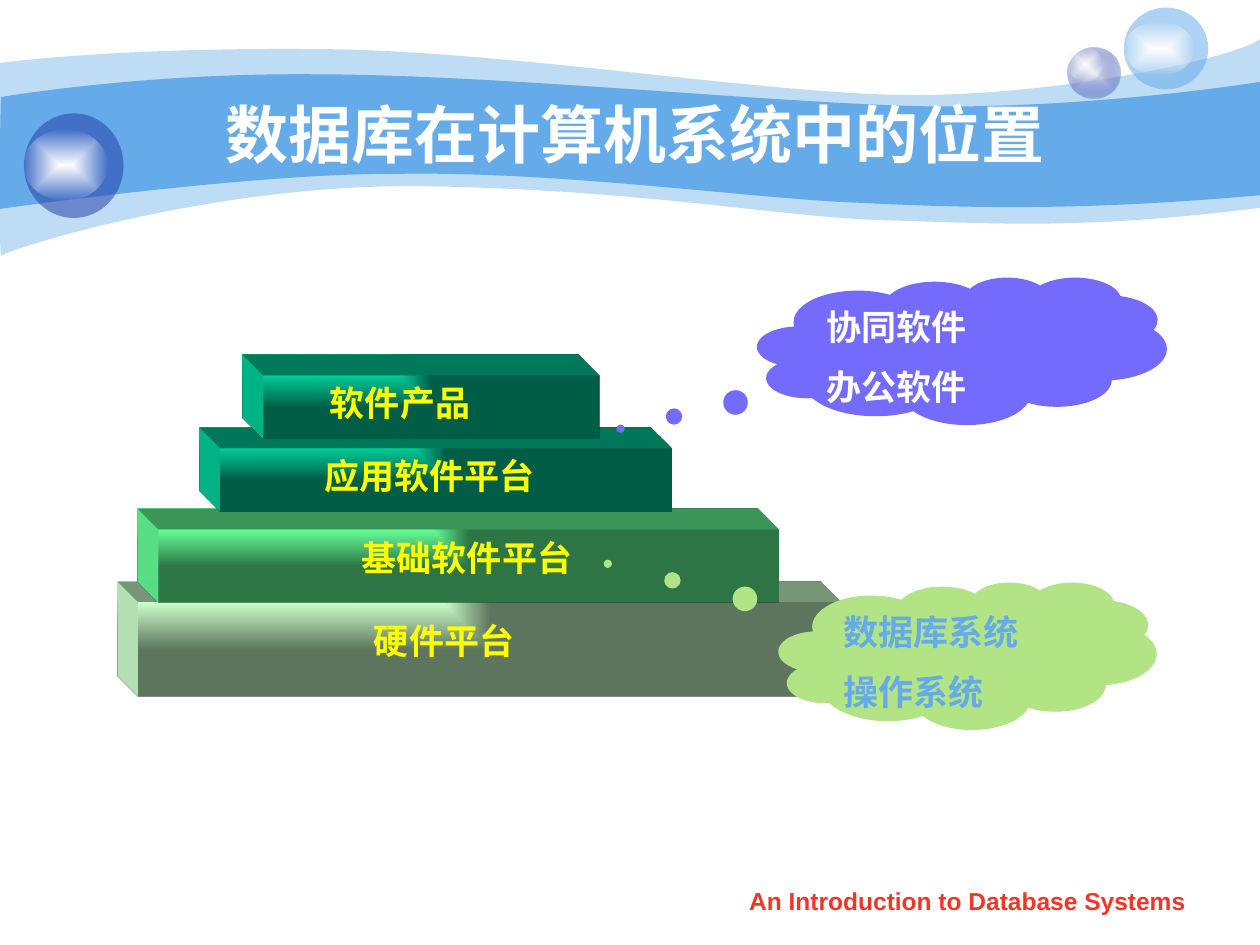
from typing import NamedTuple, Optional

from lxml import etree
from pptx import Presentation
from pptx.dml.color import RGBColor
from pptx.enum.shapes import MSO_SHAPE as Shape
from pptx.enum.text import MSO_ANCHOR as Anchor, PP_ALIGN as Align
from pptx.oxml import parse_xml
from pptx.oxml.ns import nsdecls, qn
from pptx.util import Inches, Pt

WHITE = RGBColor(0xFF, 0xFF, 0xFF)
SKY = RGBColor(0x65, 0xAA, 0xE9)
NAVY = RGBColor(0x23, 0x3D, 0xA9)
PALE = RGBColor(0xE1, 0xE2, 0xED)
RED = RGBColor(0xF0, 0x36, 0x28)
YELLOW = RGBColor(0xFF, 0xFF, 0x00)
VIOLET = RGBColor(0x74, 0x6A, 0xFC)
LIME = RGBColor(0xB2, 0xE3, 0x85)
MINT, MOSS = RGBColor(0xCC, 0xFF, 0xCC), RGBColor(0x5E, 0x76, 0x5E)
SPRING, FOREST = RGBColor(0x66, 0xFF, 0x99), RGBColor(0x2F, 0x76, 0x47)
JADE, PINE = RGBColor(0x00, 0xCC, 0x99), RGBColor(0x00, 0x5E, 0x47)
CJK = "Noto Sans CJK SC"


class Box(NamedTuple):
    left: float
    top: float
    width: float
    height: float


class Stop(NamedTuple):
    color: RGBColor
    alpha: int = 100


class Style(NamedTuple):
    size: int
    color: RGBColor
    font: str = CJK
    align: Align = Align.LEFT


class Sphere(NamedTuple):
    body: Box
    shine: Box
    color: RGBColor
    alpha: int
    core: Optional[Stop] = None


class Layer(NamedTuple):
    text: str
    bar: Box
    label: Box
    light: RGBColor
    dark: RGBColor


class Cloud(NamedTuple):
    lines: tuple
    box: Box
    tail: tuple
    fill: RGBColor
    color: RGBColor


class Band(NamedTuple):
    start: tuple
    upper: list
    corner: tuple
    lower: list
    alpha: int


# Each curve takes three points: control, control, end
BANDS = [
    Band((0, 0.5),
         [(0.24, 0.47), (1.07, 0.38), (2.47, 0.39),
          (3.86, 0.39), (5.75, 0.7), (6.99, 0.75),
          (8.22, 0.8), (9.8, 0.47), (10, 0.31)],
         (10, 1.65),
         [(8.58, 1.83), (7.87, 1.77), (7.05, 1.75),
          (6.22, 1.73), (5.15, 1.51), (3.43, 1.48),
          (1.72, 1.44), (0.04, 1.99), (0.01, 2.03),
          (-0.01, 2.08), (0, 0.75), (0, 0.5)], 41),
    Band((0.01, 0.77),
         [(0.02, 0.77), (1.1, 0.58), (2.48, 0.59),
          (3.86, 0.59), (5.95, 0.8), (7.18, 0.84),
          (8.41, 0.88), (9.76, 0.69), (10, 0.65)],
         (10, 1.55),
         [(8.53, 1.68), (7.65, 1.65), (6.82, 1.61),
          (5.99, 1.58), (4.47, 1.36), (3.17, 1.38),
          (2.03, 1.37), (-0.02, 1.66), (-0.01, 1.66),
          (0, 1.66), (0, 0.77), (0.01, 0.77)], 100),
]
SPHERES = [
    Sphere(Box(8.47, 0.38, 0.42, 0.4), Box(8.47, 0.38, 0.28, 0.27), NAVY, 31, Stop(PALE)),
    Sphere(Box(8.92, 0.06, 0.67, 0.65), Box(8.92, 0.17, 0.56, 0.43), SKY, 53),
    Sphere(Box(0.19, 0.9, 0.79, 0.83), Box(0.19, 1.03, 0.66, 0.56), NAVY, 53),
]
LAYERS = [
    Layer("硬件平台", Box(1.1, 4.78, 5.58, 0.75), Box(2.51, 4.87, 1.67, 0.43), MINT, MOSS),
    Layer("基础软件平台", Box(1.26, 4.2, 4.92, 0.58), Box(2.06, 4.21, 2.58, 0.43), SPRING, FOREST),
    Layer("应用软件平台", Box(1.75, 3.56, 3.58, 0.5), Box(1.59, 3.56, 2.75, 0.43), JADE, PINE),
    Layer("软件产品", Box(2.09, 2.98, 2.67, 0.5), Box(2.25, 2.98, 1.58, 0.43), JADE, PINE),
]
CLOUDS = [
    Cloud(("协同软件", "办公软件"), Box(6.01, 2.2, 3.25, 1.17), (-0.834, 0.528), VIOLET, WHITE),
    Cloud(("数据库系统", "操作系统"), Box(6.18, 4.62, 3, 1.17), (-0.952, -0.624), LIME, SKY),
]


def color_xml(stop: Stop) -> str:
    alpha = f'<a:alpha val="{stop.alpha * 1000}"/>' if stop.alpha < 100 else ""
    return f'<a:srgbClr val="{stop.color}">{alpha}</a:srgbClr>'


def set_fill(shape, xml: str) -> None:
    """Put a fill element in place and drop the line and shadow."""
    shape.fill.background()
    properties = shape._element.spPr
    properties.replace(properties.find(qn("a:noFill")), parse_xml(xml))
    shape.line.fill.background()
    shape.shadow.inherit = False


def fill_solid(shape, stop: Stop) -> None:
    set_fill(shape, f'<a:solidFill {nsdecls("a")}>{color_xml(stop)}</a:solidFill>')


def fill_gradient(shape, inner: Stop, outer: Stop, kind: str, focus: tuple) -> None:
    left, top, right, bottom = (percent * 1000 for percent in focus)
    set_fill(shape, f'<a:gradFill {nsdecls("a")} rotWithShape="1"><a:gsLst>'
             f'<a:gs pos="0">{color_xml(inner)}</a:gs><a:gs pos="100000">{color_xml(outer)}</a:gs>'
             f'</a:gsLst><a:path path="{kind}"><a:fillToRect l="{left}" t="{top}" r="{right}" '
             f'b="{bottom}"/></a:path></a:gradFill>')


def add_preset(slide, kind: Shape, box: Box):
    return slide.shapes.add_shape(kind, *map(Inches, box))


def write(shape, lines: tuple, style: Style, anchor: Anchor = Anchor.TOP) -> None:
    frame = shape.text_frame
    frame.word_wrap = True
    frame.vertical_anchor = anchor
    for index, line in enumerate(lines):
        paragraph = frame.add_paragraph() if index else frame.paragraphs[0]
        paragraph.alignment = style.align
        if index:
            paragraph.space_before = Pt(10)
        run = paragraph.add_run()
        run.text = line
        run.font.size, run.font.bold, run.font.name = Pt(style.size), True, style.font
        run.font.color.rgb = style.color
        run.font._element.append(parse_xml(f'<a:ea {nsdecls("a")} typeface="{style.font}"/>'))


def add_text(slide, text: str, box: Box, style: Style, anchor: Anchor = Anchor.TOP) -> None:
    write(slide.shapes.add_textbox(*map(Inches, box)), (text,), style, anchor)


def add_band(slide, band: Band) -> None:
    points = [*band.upper, band.corner, *band.lower]
    builder = slide.shapes.build_freeform(*map(Inches, band.start))
    builder.add_line_segments([(Inches(x), Inches(y)) for x, y in points], close=True)
    shape = builder.convert_to_shape()
    # Turn each three segments into one cubic curve, save for the straight right edge
    segments = list(shape._element.iter(qn("a:lnTo")))
    del segments[len(band.upper)]
    for index in range(0, len(band.upper) + len(band.lower), 3):
        trio = segments[index:index + 3]
        curve = etree.Element(qn("a:cubicBezTo"))
        trio[0].addprevious(curve)
        for segment in trio:
            curve.append(segment[0])
            segment.getparent().remove(segment)
    fill_solid(shape, Stop(SKY, band.alpha))


def add_sphere(slide, sphere: Sphere) -> None:
    center = (50, 50, 50, 50)
    body = add_preset(slide, Shape.OVAL, sphere.body)
    edge = Stop(sphere.color, sphere.alpha)
    if sphere.core:
        fill_gradient(body, sphere.core, edge, "shape", center)
    else:
        fill_solid(body, edge)
    shine = add_preset(slide, Shape.OVAL, sphere.shine)
    fill_gradient(shine, Stop(WHITE), Stop(WHITE, 0), "shape", center)


def add_layer(slide, layer: Layer) -> None:
    bar = add_preset(slide, Shape.RECTANGLE, layer.bar)
    fill_gradient(bar, Stop(layer.light), Stop(layer.dark), "rect", (0, 0, 100, 100))
    # Oblique extrusion towards the top left
    for xml in (
        f'<a:scene3d {nsdecls("a")}><a:camera prst="legacyObliqueTopLeft"/>'
        '<a:lightRig rig="legacyFlat3" dir="b"/></a:scene3d>',
        f'<a:sp3d {nsdecls("a")} extrusionH="430200" prstMaterial="legacyMatte">'
        f'<a:extrusionClr><a:srgbClr val="{layer.light}"/></a:extrusionClr></a:sp3d>',
    ):
        bar._element.spPr.append(parse_xml(xml))
    add_text(slide, layer.text, layer.label, Style(20, YELLOW, align=Align.RIGHT))


def add_cloud(slide, cloud: Cloud) -> None:
    shape = add_preset(slide, Shape.CLOUD_CALLOUT, cloud.box)
    shape.adjustments[0], shape.adjustments[1] = cloud.tail
    fill_solid(shape, Stop(cloud.fill))
    write(shape, cloud.lines, Style(20, cloud.color))


def main() -> None:
    presentation = Presentation()
    presentation.slide_width, presentation.slide_height = Inches(10), Inches(7.5)
    slide = presentation.slides.add_slide(presentation.slide_layouts[6])
    for draw, items in ((add_band, BANDS), (add_sphere, SPHERES),
                        (add_layer, LAYERS), (add_cloud, CLOUDS)):
        for item in items:
            draw(slide, item)
    # Title and footer
    add_text(slide, "数据库在计算机系统中的位置", Box(1, 0.75, 8.08, 0.62),
             Style(36, WHITE, align=Align.CENTER), Anchor.MIDDLE)
    add_text(slide, "An Introduction to Database Systems", Box(5.71, 6.98, 3.94, 0.35),
             Style(14, RED, "Arial", Align.CENTER))
    presentation.save("out.pptx")


if __name__ == "__main__":
    main()
